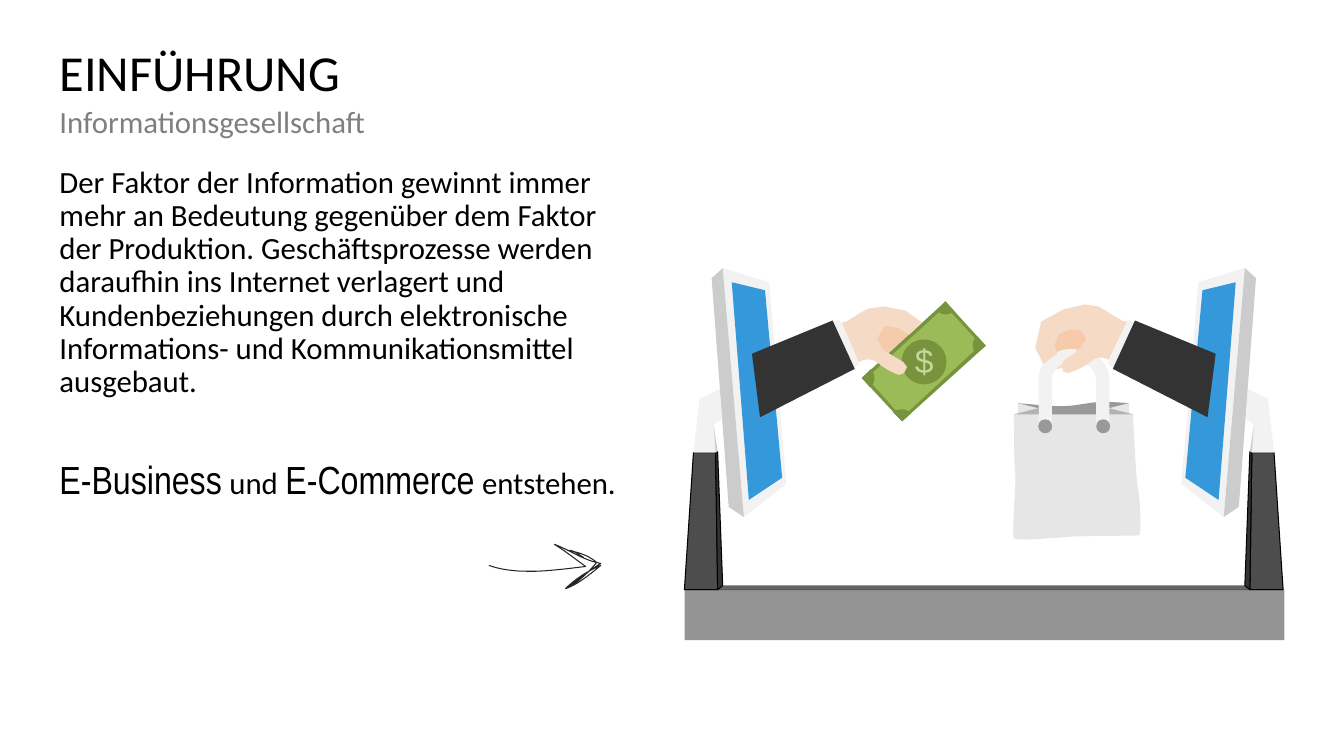
from lxml import etree
from pptx import Presentation
from pptx.dml.color import RGBColor
from pptx.enum.shapes import MSO_SHAPE
from pptx.enum.text import MSO_ANCHOR, MSO_AUTO_SIZE, PP_ALIGN
from pptx.oxml.ns import qn
from pptx.util import Pt

RECTANGLE, OVAL = MSO_SHAPE.RECTANGLE, MSO_SHAPE.OVAL
TOP, LEFT, NO_FIT = MSO_ANCHOR.TOP, PP_ALIGN.LEFT, MSO_AUTO_SIZE.NONE

# Drawings use a grid of 1/100 inch (0.72 pt); curves are refined tenfold
FINE = 10
GRID = Pt(72) / 100 / FINE
CURVE_STEPS = 12
SCREEN_AXIS, BAG_AXIS = 976, 1065

BLACK, GREY, INK = "000000", "7F7F7F", "262626"
WHITE, SHADE, DARK = "F2F2F2", "CCCCCC", "333333"
SKIN, PALM = "F5DAC6", "F5CBAC"
GREEN, OLIVE, PALE_GREEN = "9BBB59", "77933C", "C3D69B"
PAPER, RIVET = "E6E6E6", "999999"

BODY = {"name": "Calibri", "size": Pt(22)}
GAP = {"name": "Calibri", "size": Pt(24)}
TERM = {"name": "Arial Narrow", "size": Pt(28)}


def paint(fill, colour):
    """Give a fill a hex colour, or none."""
    if colour is None:
        fill.background()
    else:
        fill.solid()
        fill.fore_color.rgb = RGBColor.from_string(colour)


def mirror(points, axis):
    """Reflect the x values of points and curves about a vertical axis."""
    return [tuple(2 * axis - value if place % 2 == 0 else value
                  for place, value in enumerate(point)) for point in points]


def flatten(points):
    """Turn pairs (corners) and sextuples (cubic curves) into fine corners."""
    corners = [points[0]]
    for point in points[1:]:
        if len(point) == 2:
            corners.append(point)
            continue
        start = corners[-1]
        for step in range(1, CURVE_STEPS + 1):
            t = step / CURVE_STEPS
            u = 1 - t
            corners.append(tuple(
                u**3 * start[i] + 3 * u * u * t * point[i]
                + 3 * u * t * t * point[i + 2] + t**3 * point[i + 4]
                for i in (0, 1)))
    return [(x * FINE, y * FINE) for x, y in corners]


class Sketch:
    """Holds the page, its style and the group that is being drawn."""

    def __init__(self, page):
        self.page = page
        self.canvas = page.shapes

    def start_group(self):
        self.canvas = self.page.shapes.add_group_shape().shapes

    def finish(self, shape, fill, line=None, width=0.75):
        shape.shadow.inherit = False
        paint(shape.fill, fill)
        paint(shape.line.fill, line)
        if line:
            shape.line.width = Pt(width)

    def shape(self, kind, left, top, width, height, fill, opacity=None):
        shape = self.canvas.add_shape(
            kind, Pt(left), Pt(top), Pt(width), Pt(height))
        self.finish(shape, fill)
        if opacity:
            colour = shape.fill._xPr.find(qn("a:solidFill"))[0]
            etree.SubElement(colour, qn("a:alpha"), val=str(opacity * 1000))

    def outline(self, points, fill=None, line=None, width=0.75):
        start, *rest = flatten(points)
        builder = self.canvas.build_freeform(*start, scale=GRID)
        builder.add_line_segments(rest, close=fill is not None)
        self.finish(builder.convert_to_shape(), fill, line, width)

    def frame(self, box, wrap):
        frame = box.text_frame
        settings = {"margin_left": 0, "margin_top": 0, "margin_right": 0,
                    "margin_bottom": 0, "vertical_anchor": TOP,
                    "auto_size": NO_FIT, "word_wrap": wrap}
        for name, value in settings.items():
            setattr(frame, name, value)
        return frame

    def spans(self, para, spans, colour):
        for text, style in spans:
            span = para.add_run()
            span.text = text
            for name, value in style.items():
                setattr(span.font, name, value)
            paint(span.font.fill, colour)

    def placeholder(self, box, place, paras, colour, after=0, gap=0):
        box.left, box.top, box.width, box.height = map(Pt, place)
        frame = self.frame(box, True)
        for number, spans in enumerate(paras):
            para = frame.add_paragraph() if number else frame.paragraphs[0]
            properties = para._p.get_or_add_pPr()
            properties.set("marL", "0")
            properties.set("indent", "0")
            etree.SubElement(properties, qn("a:buNone"))
            style = {"alignment": LEFT, "line_spacing": 0.9,
                     "space_before": Pt(gap if number else 0),
                     "space_after": Pt(after)}
            for name, value in style.items():
                setattr(para, name, value)
            self.spans(para, spans, colour)

    def symbol(self, text, left, top, width, height, style, colour):
        box = self.canvas.add_textbox(Pt(left), Pt(top), Pt(width), Pt(height))
        self.spans(self.frame(box, False).paragraphs[0],
                   [(text, style)], colour)


deck = Presentation()
deck.slide_width, deck.slide_height = Pt(960), Pt(540)
page = deck.slides.add_slide(deck.slide_layouts[3])
sketch = Sketch(page)

# Title, subtitle and text
title, subtitle, body = list(page.placeholders)[:3]
sketch.placeholder(title, (42.5, 34, 875, 85),
                   [[("EINFÜHRUNG", {"name": "Calibri", "size": Pt(36)})]],
                   BLACK)
sketch.placeholder(subtitle, (42.5, 76.5, 875, 42.5),
                   [[("Informationsgesellschaft", BODY)]], GREY, after=10)
sketch.placeholder(body, (42.5, 119, 405.5, 339), [
    [("Der Faktor der Information gewinnt immer mehr an Bedeutung gegenüber "
      "dem Faktor der Produktion. Geschäftsprozesse werden daraufhin ins "
      "Internet verlagert und Kundenbeziehungen durch elektronische "
      "Informations- und Kommunikationsmittel ausgebaut.", BODY)],
    [("E-Business", TERM), (" ", GAP), ("und", BODY), (" ", GAP),
     ("E-Commerce", TERM), (" ", GAP), ("entstehen.", BODY)],
], BLACK, after=10, gap=34)

# Hand-drawn arrow
sketch.outline([
    (485, 561), (513, 571, 549, 566, 581, 562), (570, 554, 561, 547, 550, 540),
    (566, 546, 579, 556, 596, 559), (583, 567, 572, 576, 561, 584),
    (573, 580, 585, 570, 596, 561), (584, 566, 571, 574, 561, 584),
    (572, 579, 583, 569, 592, 558), (584, 551, 574, 548, 563, 546),
    (570, 546, 572, 549, 579, 553)], line=INK)

# Table top
sketch.start_group()
sketch.shape(RECTANGLE, 489, 421.2, 428.4, 36, INK, 49)
sketch.shape(RECTANGLE, 489.6, 418.2, 427, 3.4, INK, 71)

# Banknote
sketch.outline([(912, 335), (912, 346, 897, 359, 887, 359),
                (876, 359, 868, 350, 868, 338), (868, 327, 876, 318, 887, 318),
                (897, 318, 912, 323, 912, 335)], PALM)
sketch.outline([(895, 418), (855, 375), (938, 299), (978, 343)], OLIVE)
sketch.outline([(938, 304), (973, 342), (895, 414), (860, 375)], GREEN)
for corner in (
        [(864, 366), (869, 372, 869, 380, 863, 384), (855, 375)],
        [(929, 308), (934, 313, 941, 313, 947, 309), (938, 299)],
        [(904, 410), (899, 405, 891, 405, 886, 409), (895, 418)],
        [(968, 351), (964, 346, 964, 338, 969, 333), (978, 343)]):
    sketch.outline(corner, OLIVE)
sketch.shape(OVAL, 644, 242.5, 32, 32, OLIVE)
sketch.symbol("$", 653.5, 242.5, 14, 29,
              {"name": "Arial", "size": Pt(24)}, PALE_GREEN)

# Screen parts: points, fill, line
SCREEN = [
    ([(738, 513), (780, 480), (763, 280), (717, 266)], WHITE, None),
    ([(688, 449), (710, 449), (712, 585), (679, 585)], "4D4D4D", BLACK),
    ([(712, 585), (717, 581), (712, 448), (710, 449)], DARK, BLACK),
    ([(688, 449), (694, 396), (714, 386), (716, 416), (708, 421), (710, 449)],
     WHITE, None),
    ([(708, 421), (712, 448), (710, 449)], SHADE, None),
    ([(706, 276), (723, 503), (738, 513), (717, 266)], SHADE, None),
    ([(743, 496), (776, 474), (759, 288), (726, 280)], "3498DB", None),
]
SLEEVE = [
    ([(822, 322), (833, 317), (853, 361), (844, 366)], WHITE, None),
    ([(826, 318), (848, 366), (754, 414), (746, 351)], DARK, None),
]

# Left screen, arm and hand
for points, fill, line in SCREEN + SLEEVE:
    sketch.outline(points, fill, line)
sketch.outline([
    (852, 359), (852, 359, 863, 353, 871, 360), (880, 368, 892, 372, 892, 372),
    (897, 370), (900, 364), (896, 359), (876, 347), (870, 336), (878, 323),
    (891, 325), (902, 332), (915, 320), (898, 308), (877, 304), (862, 306),
    (854, 310), (840, 319), (835, 320)], SKIN)

# Fingers behind the bag
sketch.outline([(1046, 338), (1046, 350, 1044, 363, 1065, 359),
                (1076, 357, 1084, 350, 1084, 338),
                (1084, 327, 1076, 318, 1065, 318),
                (1055, 318, 1046, 327, 1046, 338)], PALM)
sketch.outline([(1035, 361), (1049, 366), (1056, 364), (1056, 351),
                (1049, 351)], SKIN)

# Shopping bag
sketch.outline([(1010, 400), (1010, 400, 1040, 403, 1053, 403),
                (1066, 403, 1083, 399, 1089, 399),
                (1095, 398, 1120, 400, 1120, 400), (1120, 439), (1014, 439)],
               RIVET)
for points, fill in (([(1030, 405), (1010, 400), (1010, 429)], PAPER),
                     ([(1006, 411), (1030, 405), (1030, 447)], "B3B3B3")):
    sketch.outline(points, fill)
    sketch.outline(mirror(points, BAG_AXIS), fill)
sketch.outline([(1006, 411), (1124, 411), (1124, 411, 1127, 477, 1129, 485),
                (1131, 494, 1133, 530, 1130, 531),
                (1127, 532, 1070, 531, 1056, 533),
                (1041, 534, 1009, 537, 1006, 534),
                (1003, 531, 1009, 474, 1007, 468),
                (1006, 461, 1006, 411, 1006, 411)], PAPER)
sketch.outline([(1037, 422), (1037, 377), (1037, 364, 1047, 354, 1060, 353),
                (1068, 353)], line=WHITE, width=9.5)

# Right screen, bag handle, arm and hand
for points, fill, line in SCREEN:
    sketch.outline(mirror(points, SCREEN_AXIS), fill, line)
sketch.outline([(1070, 353), (1083, 353, 1094, 364, 1094, 377), (1094, 422)],
               line=WHITE, width=9.5)
for points, fill, line in SLEEVE:
    sketch.outline(mirror(points, SCREEN_AXIS), fill, line)
for left in (741.6, 783):
    sketch.shape(OVAL, left, 299.5, 10, 10, RIVET)
sketch.outline([
    (1051, 331), (1061, 327), (1072, 327), (1078, 336), (1070, 348),
    (1056, 357), (1053, 362), (1055, 369), (1060, 370),
    (1060, 370, 1073, 366, 1082, 359), (1090, 351, 1100, 357, 1100, 357),
    (1118, 319), (1113, 318), (1098, 309), (1090, 304), (1076, 302),
    (1055, 307), (1033, 319), (1027, 345), (1035, 361), (1049, 351),
    (1046, 342)], SKIN)

deck.save("out.pptx")
